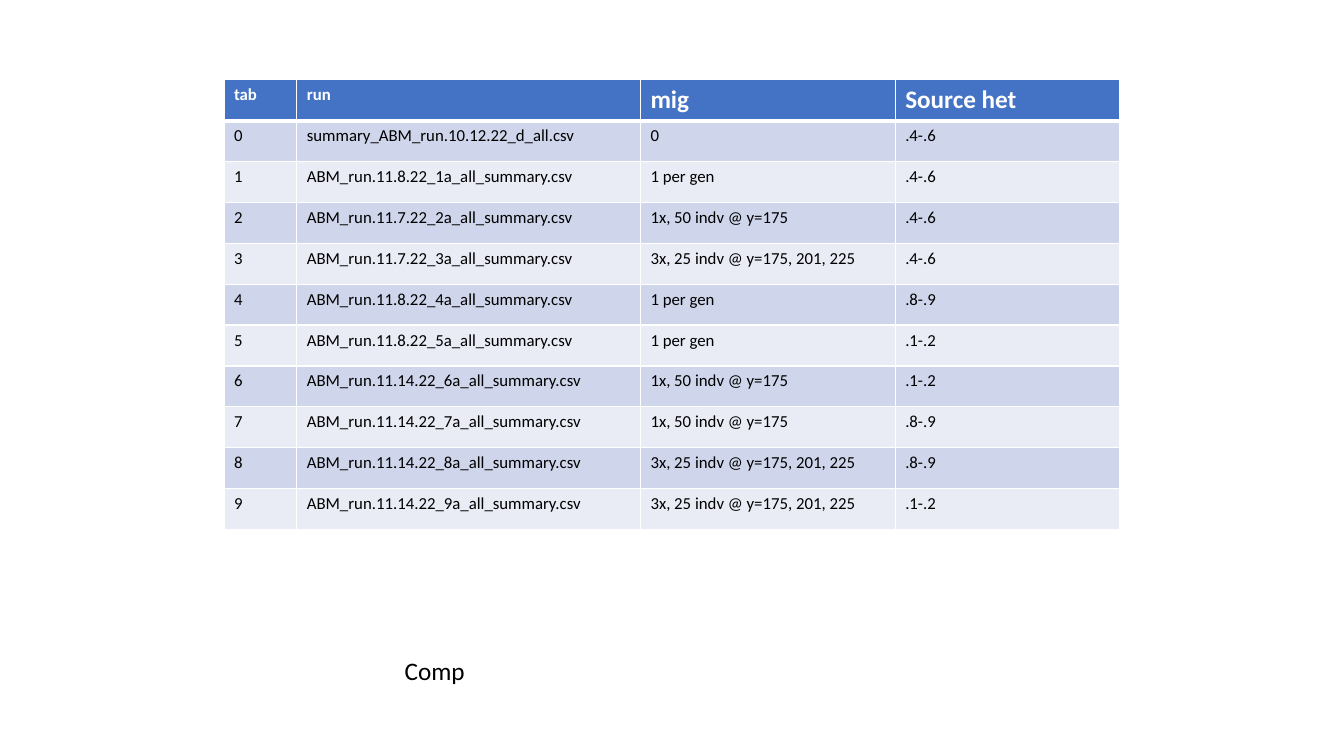
from dataclasses import dataclass

from lxml import etree
from pptx import Presentation
from pptx import util as u
from pptx.dml.color import RGBColor
from pptx.enum import text
from pptx.oxml import ns


@dataclass(frozen=True)
class Theme:
    font: str = "Calibri"
    small: float = 12
    large: float = 18
    ink: str = "000000"
    paper: str = "FFFFFF"
    header: str = "4472C4"
    bands: tuple = ("CFD5EA", "E9EBF5")
    rule: float = 1
    header_rule: float = 3


HEADERS = ["tab", "run", "mig", "Source het"]
NO_MIG, EACH_GEN = "0", "1 per gen"
ONCE, THRICE = "1x, 50 indv @ y=175", "3x, 25 indv @ y=175, 201, 225"
RUNS = [
    ("summary_ABM_run.10.12.22_d_all.csv", NO_MIG, ".4-.6"),
    ("ABM_run.11.8.22_1a_all_summary.csv", EACH_GEN, ".4-.6"),
    ("ABM_run.11.7.22_2a_all_summary.csv", ONCE, ".4-.6"),
    ("ABM_run.11.7.22_3a_all_summary.csv", THRICE, ".4-.6"),
    ("ABM_run.11.8.22_4a_all_summary.csv", EACH_GEN, ".8-.9"),
    ("ABM_run.11.8.22_5a_all_summary.csv", EACH_GEN, ".1-.2"),
    ("ABM_run.11.14.22_6a_all_summary.csv", ONCE, ".1-.2"),
    ("ABM_run.11.14.22_7a_all_summary.csv", ONCE, ".8-.9"),
    ("ABM_run.11.14.22_8a_all_summary.csv", THRICE, ".8-.9"),
    ("ABM_run.11.14.22_9a_all_summary.csv", THRICE, ".1-.2"),
]


def write(tf, content, *, font, size, color, bold=False):
    r = tf.paragraphs[0].add_run()
    r.text = content
    r.font.name = font
    r.font.size = u.Pt(size)
    r.font.bold = bold
    r.font.color.rgb = RGBColor.from_string(color)


def set_borders(cell, color, left, right, top, bottom):
    """Put the four border lines ahead of the cell's fill, as the schema asks."""
    props = cell._tc.get_or_add_tcPr()
    widths = {"L": left, "R": right, "T": top, "B": bottom}
    for i, (side, width) in enumerate(widths.items()):
        line = etree.Element(ns.qn(f"a:ln{side}"), w=str(int(u.Pt(width))))
        fill = etree.SubElement(line, ns.qn("a:solidFill"))
        etree.SubElement(fill, ns.qn("a:srgbClr"), val=color)
        props.insert(i, line)


class SlideBuilder:
    def __init__(self, slide, theme):
        self.slide = slide
        self.theme = theme

    def label(self, content, left, top, width, height):
        sp = self.slide.shapes.add_textbox(*map(u.Pt, (left, top, width, height)))
        tf = sp.text_frame
        tf.word_wrap = False
        tf.auto_size = text.MSO_AUTO_SIZE.SHAPE_TO_FIT_TEXT
        write(tf, content, font=self.theme.font, size=self.theme.large,
              color=self.theme.ink)

    def table(self, rows, left, top, widths, row_height, header_sizes):
        frame = self.slide.shapes.add_table(
            len(rows), len(widths), u.Pt(left), u.Pt(top),
            u.Pt(sum(widths)), u.Pt(row_height * len(rows)))
        table = frame.table
        for column, width in zip(table.columns, widths):
            column.width = u.Pt(width)
        for i, row in enumerate(rows):
            table.rows[i].height = u.Pt(row_height)
            for j, content in enumerate(row):
                size = header_sizes[j] if i == 0 else self.theme.small
                self.cell(table.cell(i, j), content, i, size)

    def cell(self, cell, content, row, size):
        t = self.theme
        is_header = row == 0
        fill = t.header if is_header else t.bands[(row - 1) % len(t.bands)]
        cell.fill.solid()
        cell.fill.fore_color.rgb = RGBColor.from_string(fill)
        set_borders(cell, t.paper, t.rule, t.rule,
                    top=t.header_rule if row == 1 else t.rule,
                    bottom=t.header_rule if is_header else t.rule)
        write(cell.text_frame, content, font=t.font, size=size, bold=is_header,
              color=t.paper if is_header else t.ink)


def main():
    prs = Presentation()
    prs.slide_width, prs.slide_height = u.Pt(960), u.Pt(540)
    blank = prs.slide_layouts.get_by_name("Blank")
    theme = Theme()
    builder = SlideBuilder(prs.slides.add_slide(blank), theme)

    rows = [HEADERS] + [(str(tab), *run) for tab, run in enumerate(RUNS)]
    builder.table(rows, left=160, top=57, widths=[52, 245.5, 182, 160],
                  row_height=29.2,
                  header_sizes=[theme.small] * 2 + [theme.large] * 2)
    builder.label("Comp", left=282, top=464.5, width=62, height=29)
    prs.save("out.pptx")


if __name__ == "__main__":
    main()
